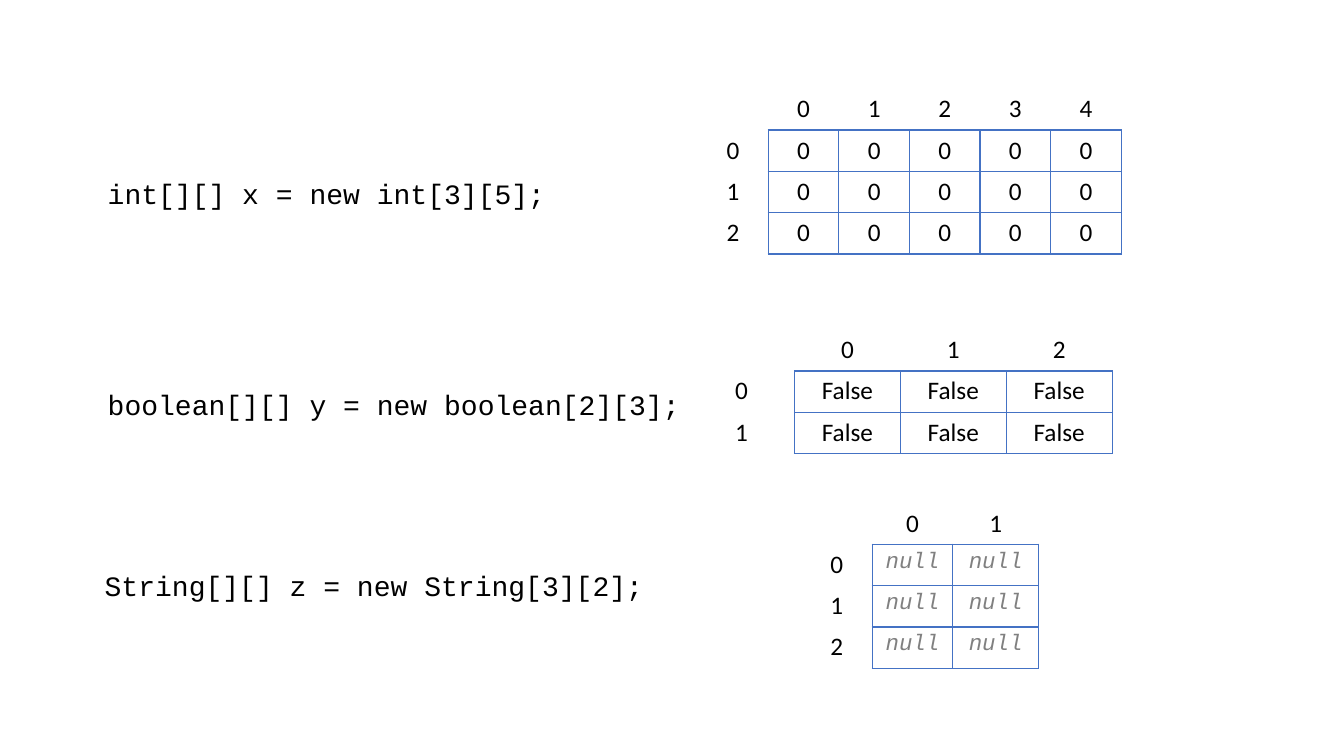
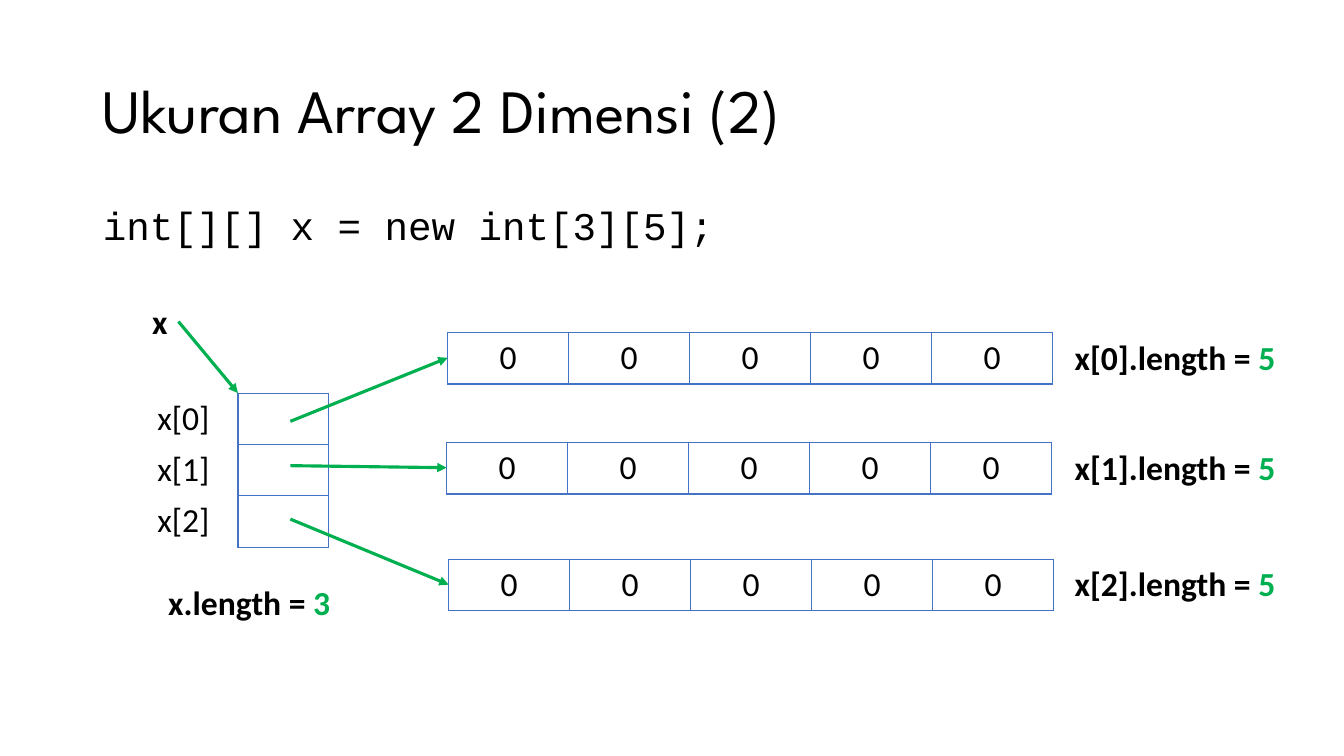
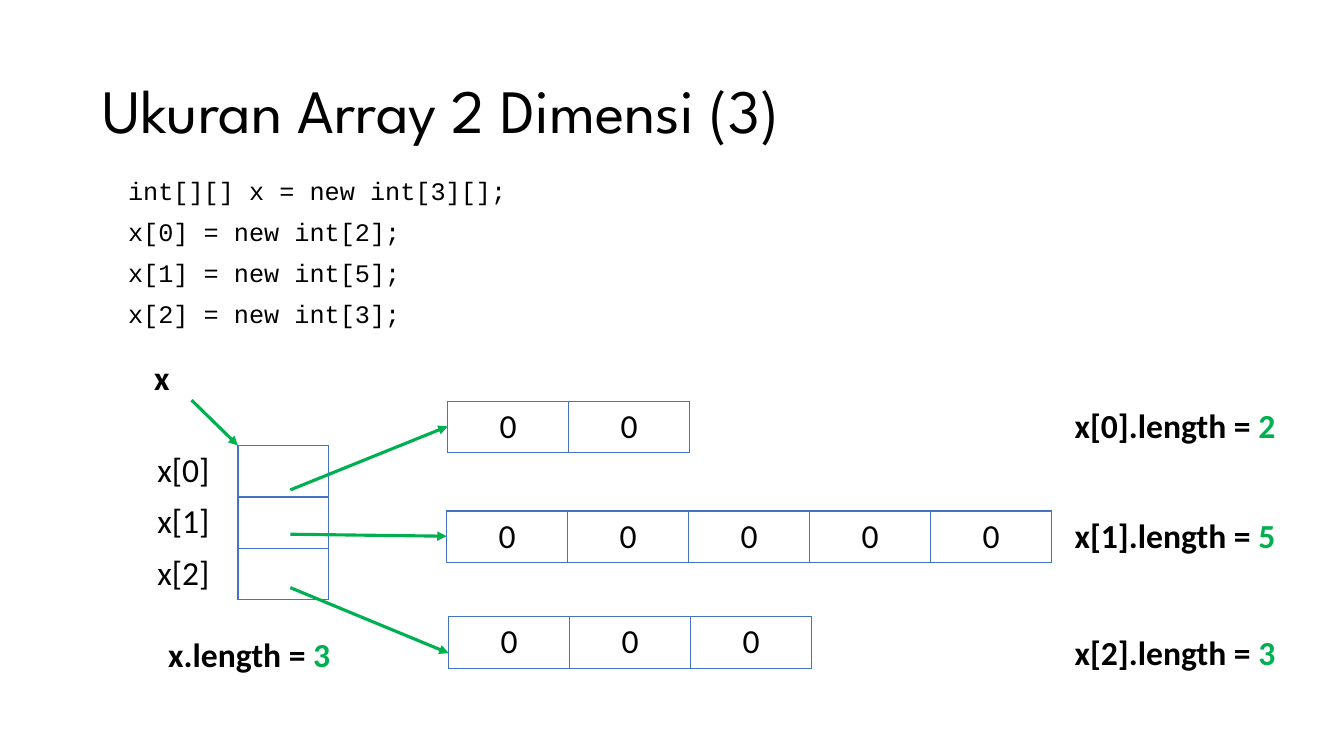
from lxml import etree
from pptx import Presentation
from pptx.dml.color import RGBColor
from pptx.enum.shapes import MSO_CONNECTOR
from pptx.enum.text import MSO_ANCHOR, MSO_AUTO_SIZE, PP_ALIGN
from pptx.oxml.ns import qn
from pptx.util import Inches, Pt

LEFT, CENTER = PP_ALIGN.LEFT, PP_ALIGN.CENTER
MIDDLE, TOP = MSO_ANCHOR.MIDDLE, MSO_ANCHOR.TOP
FIT, FIXED = MSO_AUTO_SIZE.SHAPE_TO_FIT_TEXT, MSO_AUTO_SIZE.NONE
STRAIGHT = MSO_CONNECTOR.STRAIGHT

COLORS = {"text": "000000", "grid": "4472C4", "mark": "00B050", "null": "808080"}
SANS, CODE, HEAD = "Calibri", "Courier New", "League Spartan"
TITLED, BLANK = 1, 6
SIDES = {"lnL": (0, -1), "lnR": (0, 1), "lnT": (-1, 0), "lnB": (1, 0)}


def write(frame, text, size=24, font=SANS, color="text", bold=False,
          italic=False, align=LEFT, lead=None, before=None):
    """Fill a frame; each line is a string or a list of (text, color) runs."""
    lines = [text] if isinstance(text, str) else text
    for i, line in enumerate(lines):
        para = frame.add_paragraph() if i else frame.paragraphs[0]
        para.alignment = align
        if lead:
            para.line_spacing = lead
        if before is not None:
            para.space_before = Pt(before)
        for part, tint in [(line, color)] if isinstance(line, str) else line:
            run = para.add_run()
            run.text = part
            face = run.font
            face.name, face.size = font, Pt(size)
            face.bold, face.italic = bold, italic
            face.color.rgb = RGBColor.from_string(COLORS[tint])


def border(cell, sides):
    """Draw the given sides of a cell and clear the others."""
    props = cell._tc.get_or_add_tcPr()
    for i, side in enumerate(SIDES):
        line = etree.Element(qn("a:" + side), w=str(Pt(1)))
        if side in sides:
            fill = etree.SubElement(line, qn("a:solidFill"))
            etree.SubElement(fill, qn("a:srgbClr"), val=COLORS["grid"])
        else:
            etree.SubElement(line, qn("a:noFill"))
        props.insert(i, line)


class Deck:
    def __init__(self):
        self.prs = Presentation()
        self.prs.slide_width, self.prs.slide_height = Inches(13.33), Inches(7.5)
        self.slide = None

    def add(self, layout):
        self.slide = self.prs.slides.add_slide(self.prs.slide_layouts[layout])

    def holder(self, index, top, height, text, anchor=TOP, **style):
        shape = self.slide.placeholders[index]
        shape.left, shape.top = Inches(0.92), Inches(top)
        shape.width, shape.height = Inches(11.5), Inches(height)
        frame = shape.text_frame
        frame.auto_size, frame.vertical_anchor = FIXED, anchor
        write(frame, text, lead=0.9, **style)
        return frame

    def title(self, text):
        self.holder(0, 0.4, 1.45, text, MIDDLE, size=44, font=HEAD)

    def body(self, top, height, lines, size, indent=0):
        frame = self.holder(1, top, height, lines, size=size, font=CODE, before=10)
        for para in frame.paragraphs:
            props = para._p.get_or_add_pPr()
            props.set("marL", str(Inches(indent)))
            props.set("indent", "0")
            etree.SubElement(props, qn("a:buNone"))

    def text(self, left, top, width, height, text, wrap=False, **style):
        box = self.slide.shapes.add_textbox(
            Inches(left), Inches(top), Inches(width), Inches(height))
        frame = box.text_frame
        frame.word_wrap, frame.auto_size = wrap, FIT
        write(frame, text, **style)

    def label(self, left, top, width, name, count):
        runs = [(f"{name}.length = ", "text"), (str(count), "mark")]
        self.text(left, top, width, 0.5, [runs], bold=True)

    def table(self, left, top, widths, height, rows, head=(0, 0), style=None, names=None):
        """Frame the cells past the head (rows, columns); names formats the rest."""
        size = len(rows), len(widths)
        grid = self.slide.shapes.add_table(
            *size, Inches(left), Inches(top),
            Inches(sum(widths)), Inches(height * len(rows))).table
        grid.first_row = grid.horz_banding = False
        for col, width in zip(grid.columns, widths):
            col.width = Inches(width)

        def framed(r, c):
            return head[0] <= r < size[0] and head[1] <= c < size[1]

        for r, row in enumerate(rows):
            grid.rows[r].height = Inches(height)
            for c, value in enumerate(row):
                cell = grid.cell(r, c)
                cell.fill.background()
                border(cell, [side for side, (dr, dc) in SIDES.items()
                              if framed(r, c) or framed(r + dr, c + dc)])
                if value:
                    look = style if framed(r, c) else names
                    write(cell.text_frame, value, **(look or {}))

    def matrix(self, left, top, widths, count, value, **style):
        """Draw a grid of one value with row and column numbers."""
        plain = {"size": 18, "align": CENTER}
        span = len(widths) - 1
        rows = [[""] + [str(c) for c in range(span)]]
        rows += [[str(r)] + [value] * span for r in range(count)]
        self.table(left, top, widths, 0.41, rows, (1, 1), {**plain, **style}, plain)

    def arrow(self, start, end):
        line = self.slide.shapes.add_connector(
            STRAIGHT, *(Inches(v) for v in (*start, *end)))
        line.line.color.rgb = RGBColor.from_string(COLORS["mark"])
        line.line.width = Pt(2.25)
        etree.SubElement(line.line._get_or_add_ln(), qn("a:tailEnd"), type="triangle")
        etree.SubElement(line._element.spPr, qn("a:effectLst"))

    def memory(self, counts, index, shift, name, start, nudge=0):
        """Draw x, its index column and the rows it points to."""
        self.table(1.46, index, [0.9] * 2, 0.51,
                   [[f"x[{i}]", ""] for i in range(len(counts))], (0, 1))
        self.text(*name, 0.36, 0.5, "x", bold=True)
        self.arrow(start, (2.36, index))
        self.label(1.57, index + 1.82, 1.82, "x", len(counts))
        places = [(4.44, 3.3, 4.18), (4.43, 4.39, 4.62), (4.45, 5.55, 5.15)]
        for i, (count, (left, top, tail)) in enumerate(zip(counts, places)):
            top += shift
            drop = nudge if i == len(counts) - 1 else 0
            self.table(left, top + drop, [1.2] * count, 0.51, [["0"] * count],
                       style={"align": CENTER})
            self.arrow((2.88, tail + shift), (left, top + 0.25))
            self.label(10.56, top - 0.01, 2.21, f"x[{i}]", count)


def main():
    deck = Deck()

    deck.add(BLANK)
    deck.matrix(6.92, 0.88, [0.7] * 6, 3, "0")
    deck.matrix(6.83, 3.27, [1.05] * 4, 2, "False")
    deck.matrix(7.95, 4.99, [0.7, 0.8, 0.85], 3, "null",
                size=16, font=CODE, color="null", italic=True)
    for left, top, code in [(0.97, 1.7, "int[][] x = new int[3][5];"),
                            (0.97, 3.8, "boolean[][] y = new boolean[2][3];"),
                            (0.94, 5.59, "String[][] z = new String[3][2];")]:
        deck.text(left, top, 6.03, 0.44, code, wrap=True, size=20, font=CODE)

    deck.add(TITLED)
    deck.title("Ukuran Array 2 Dimensi (2)")
    deck.body(2, 4.76, ["int[][] x = new int[3][5];"], 28)
    deck.memory([5, 5, 5], 3.9, 0, (1.41, 2.94), (1.77, 3.19))

    deck.add(TITLED)
    deck.title("Ukuran Array 2 Dimensi (3)")
    deck.body(1.72, 5.03, ["int[][] x = new int[3][];", "x[0] = new int[2];",
                           "x[1] = new int[5];", "x[2] = new int[3];"], 18, 0.25)
    deck.memory([2, 5, 3], 4.42, 0.68, (1.43, 3.49), (1.9, 3.97), nudge=-0.11)

    deck.prs.save("out.pptx")


if __name__ == "__main__":
    main()
